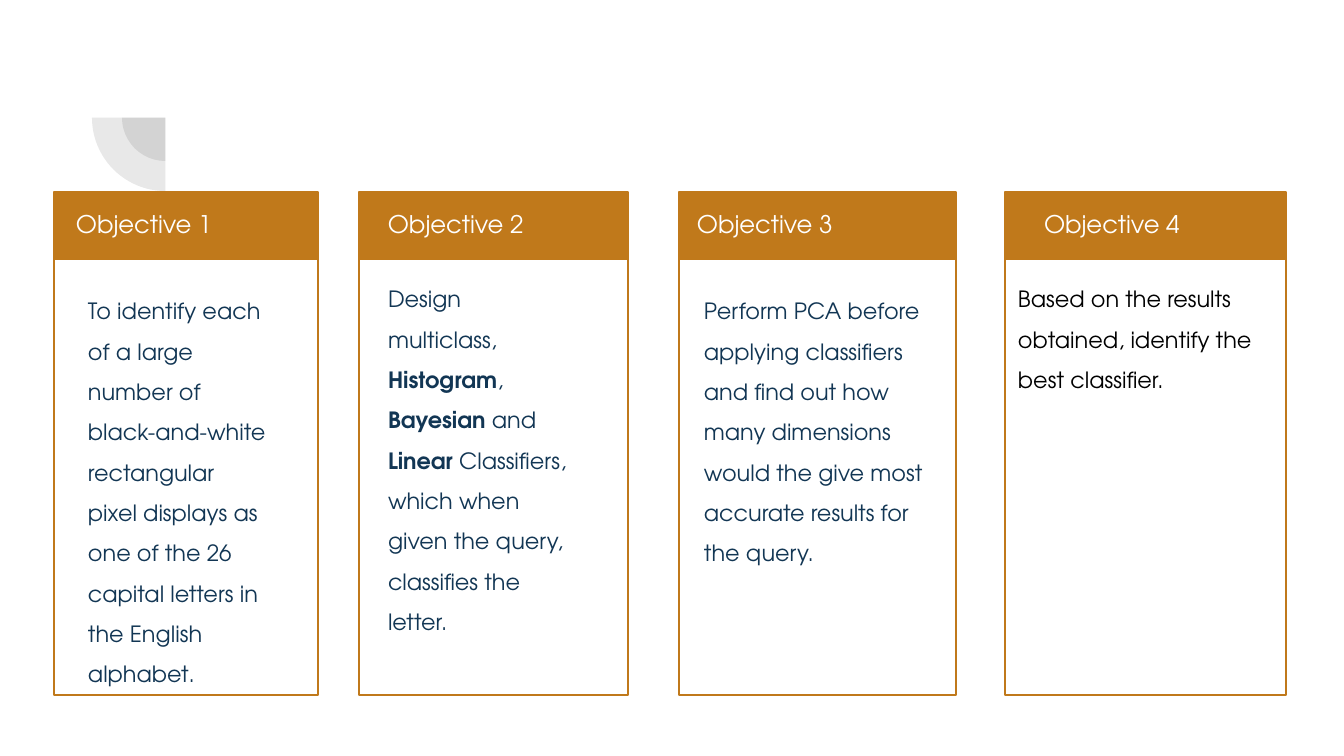
from lxml.etree import SubElement
from pptx import Presentation
from pptx.dml.color import RGBColor
from pptx.enum.shapes import MSO_SHAPE as Shape
from pptx.oxml.ns import qn
from pptx.util import Pt

PX = 914400 / 134.4
INK, GOLD, WHITE, NAVY, BLACK = "424242", "C0791B", "FFFFFF", "123654", "000000"
TOP, HEADER_H, CARD_H, BODY_H = 192, 68, 503, 411


def px(length):
    return round(length * PX)


def rgb(color):
    return RGBColor.from_string(color)


class ObjectivesSlide:
    """Style and drawing methods for the objectives slide."""

    font = "TeX Gyre Adventor"
    inset = 13

    def __init__(self, deck):
        self.slide = deck.slides.add_slide(deck.slide_layouts[6])

    def shape(self, kind, left, top, width, height, fill=None, line=None):
        item = self.slide.shapes.add_shape(kind, *map(px, (left, top, width, height)))
        item.shadow.inherit = False
        if fill:
            item.fill.solid()
            item.fill.fore_color.rgb = rgb(fill)
        else:
            item.fill.background()
        if line:
            item.line.color.rgb = rgb(line)
            item.line.width = Pt(0.75)
        else:
            item.line.fill.background()
        return item

    def quarter(self, left, top, size):
        pie = self.shape(Shape.PIE, left, top, size, size, fill=INK)
        pie.adjustments[0], pie.adjustments[1] = 108, 162
        pie.rotation = 270
        tint = pie.fill._xPr.find(qn("a:solidFill"))[0]
        SubElement(tint, qn("a:alpha"), val="12000")

    def text(self, left, top, width, height, parts, size, color, spacing):
        box = self.slide.shapes.add_textbox(*map(px, (left, top, width, height)))
        frame = box.text_frame
        frame.word_wrap = True
        frame.margin_left = frame.margin_right = px(self.inset)
        frame.margin_top = frame.margin_bottom = px(self.inset)
        paragraph = frame.paragraphs[0]
        paragraph.line_spacing = spacing
        for index, part in enumerate(parts):
            run = paragraph.add_run()
            run.text = part
            run.font.name = self.font
            run.font.size = Pt(size)
            run.font.bold = index % 2 == 1
            run.font.color.rgb = rgb(color)

    def card(self, number, left, width, heading, body, parts, color):
        self.shape(Shape.RECTANGLE, left, TOP, width, HEADER_H, fill=GOLD)
        self.shape(Shape.RECTANGLE, left, TOP, width, CARD_H, line=GOLD)
        heading_left, heading_width = heading
        self.text(heading_left, TOP, heading_width, HEADER_H,
                  [f"Objective {number}"], 13, WHITE, 1.15)
        body_left, body_top, body_width = body
        self.text(body_left, body_top, body_width, BODY_H, parts, 12, color, 1.5)


OBJECTIVES = [
    (54, 264, (63, 234), (75, 271, 206),
     ["To identify each of a large number of black-and-white rectangular pixel "
      "displays as one of the 26 capital letters in the English alphabet."], NAVY),
    (359, 269, (375, 251), (375, 259, 206),
     ["Design multiclass, ", "Histogram", ", ", "Bayesian", " and ", "Linear",
      " Classifiers, which when given the query, classifies the letter."], NAVY),
    (679, 277, (684, 254), (691, 271, 251),
     ["Perform PCA before applying classifiers and find out how many dimensions "
      "would the give most accurate results for the query."], NAVY),
    (1005, 281, (1031, 181), (1005, 259, 281),
     ["Based on the results obtained, identify the best classifier."], BLACK),
]


def main():
    deck = Presentation()
    deck.slide_width, deck.slide_height = px(1344), px(756)
    page = ObjectivesSlide(deck)
    page.quarter(122, 74, 87)
    page.quarter(92, 44, 147)
    for number, objective in enumerate(OBJECTIVES, 1):
        page.card(number, *objective)
    deck.save("out.pptx")


if __name__ == "__main__":
    main()
